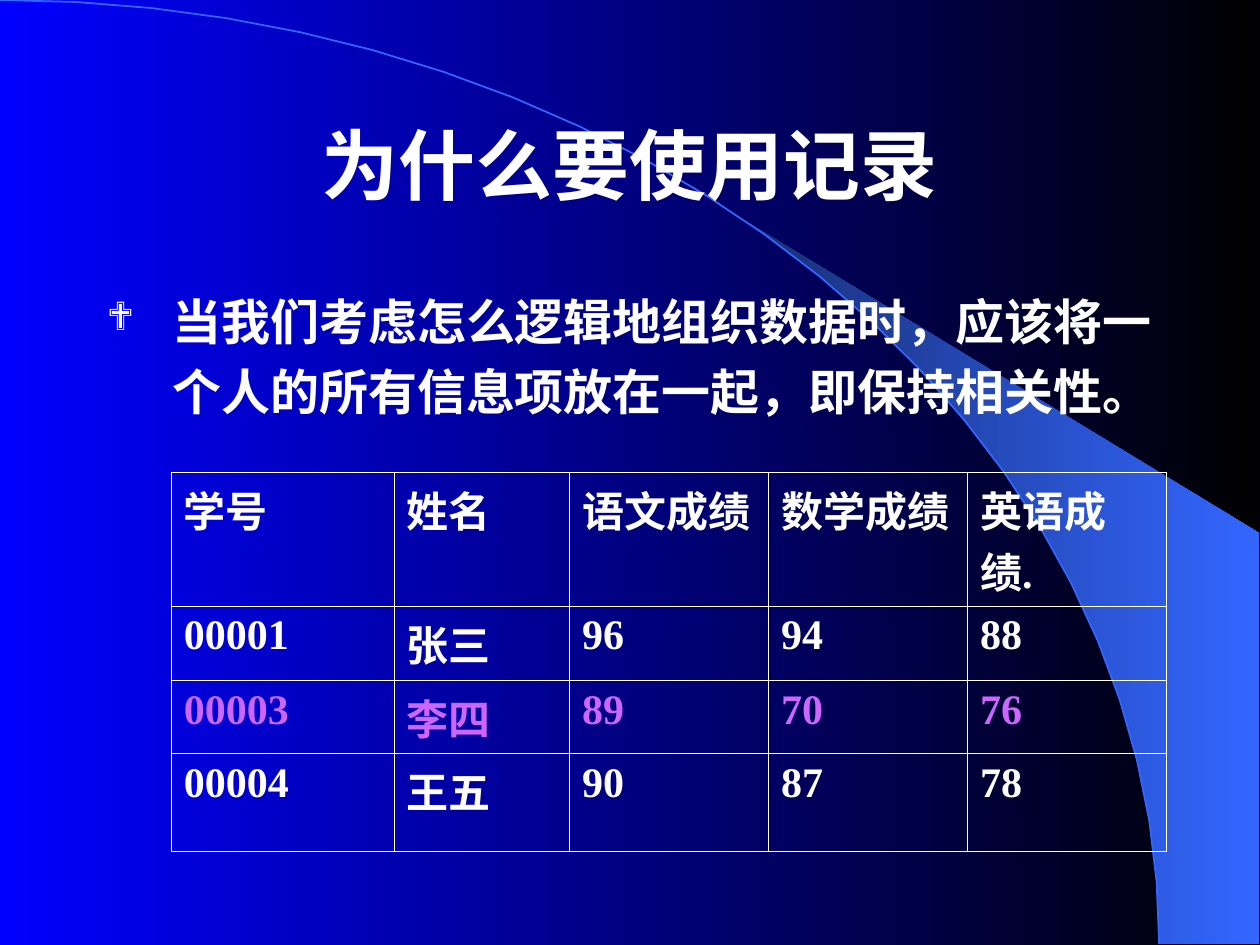
import math
from dataclasses import dataclass

from pptx import Presentation, util as u
from pptx.dml.color import RGBColor
from pptx.enum import text
from pptx.oxml.ns import qn
from lxml import etree


@dataclass(frozen=True)
class Theme:
    """Colours, fonts and type sizes."""
    white: str = "FFFFFF"
    highlight: str = "CC66FF"
    arc: str = "3366FF"
    background: tuple = ("0000FF", "000000")
    beam: tuple = ("182F76", "3366FF")
    title_font: str = "Arial"
    body_font: str = "Noto Sans CJK SC"
    table_font: str = "Times New Roman"
    bullet_font: str = "Wingdings"
    title_size: int = 44
    body_size: int = 28
    table_size: int = 24


THEME = Theme()
WIDTH, HEIGHT = 10, 7.5
ARC_WIDTH, ARC_HEIGHT = 0.92 * WIDTH, 7.49
COLUMNS = (1.77, 1.39, 1.58, 1.58, 1.58)
ROWS = (1.06, 0.59, 0.58, 0.78)
RECORDS = (
    ("学号", "姓名", "语文成绩", "数学成绩", "英语成绩."),
    ("00001", "张三", "96", "94", "88"),
    ("00003", "李四", "89", "70", "76"),
    ("00004", "王五", "90", "87", "78"),
)
HIGHLIGHTED_ROW = 2


def set_gradient(fill, colours):
    """Fill from left to right between two colours."""
    fill.gradient()
    fill.gradient_angle = 0
    for stop, colour in zip(fill.gradient_stops, colours):
        stop.color.rgb = RGBColor.from_string(colour)


def arc_points(start, steps):
    """Return points on the quarter ellipse from an angle to its right end."""
    angles = (start + (math.pi / 2 - start) * step / steps for step in range(steps + 1))
    return [(ARC_WIDTH * math.sin(a), ARC_HEIGHT * (1 - math.cos(a))) for a in angles]


def add_outline(slide, points, close):
    """Draw a freeform through points given in inches."""
    points = [(u.Inches(x), u.Inches(y)) for x, y in points]
    builder = slide.shapes.build_freeform(*points[0])
    builder.add_line_segments(points[1:], close=close)
    shape = builder.convert_to_shape()
    shape.shadow.inherit = False
    return shape


def add_backdrop(slide):
    """Draw the gradient background, the beam and the arc."""
    set_gradient(slide.background.fill, THEME.background)
    corners = [(WIDTH - 0.01, ARC_HEIGHT), (WIDTH - 0.01, 4.23)]
    beam = add_outline(slide, arc_points(math.asin(0.64), 14) + corners, True)
    set_gradient(beam.fill, THEME.beam)
    beam.line.fill.background()
    arc = add_outline(slide, arc_points(0, 24), False)
    arc.fill.background()
    arc.line.color.rgb = RGBColor.from_string(THEME.arc)
    arc.line.width = u.Pt(1)


def add_run(paragraph, words, font, size, colour):
    """Add one bold run with Latin and East Asian fonts."""
    run = paragraph.add_run()
    run.text = words
    run.font.name = font
    run.font.size = u.Pt(size)
    run.font.bold = True
    run.font.color.rgb = RGBColor.from_string(colour)
    east_asian = etree.SubElement(run.font._element, qn("a:ea"))
    east_asian.set("typeface", THEME.body_font)


def add_text(slide, box, anchor):
    """Add a wrapping text box and return its first paragraph."""
    shape = slide.shapes.add_textbox(*(u.Inches(length) for length in box))
    frame = shape.text_frame
    frame.word_wrap = True
    frame.vertical_anchor = anchor
    return frame.paragraphs[0]


def set_bullet(paragraph, symbol, indent):
    """Give a paragraph a hanging bullet."""
    properties = paragraph._p.get_or_add_pPr()
    properties.set("marL", str(u.Inches(indent)))
    properties.set("indent", str(-u.Inches(indent)))
    colour = etree.SubElement(properties, qn("a:buClr"))
    etree.SubElement(colour, qn("a:srgbClr")).set("val", THEME.white)
    etree.SubElement(properties, qn("a:buSzPct")).set("val", "80000")
    etree.SubElement(properties, qn("a:buFont")).set("typeface", THEME.bullet_font)
    etree.SubElement(properties, qn("a:buChar")).set("char", symbol)


def set_borders(cell, colour, points):
    """Draw all four borders of a cell."""
    properties = cell._tc.get_or_add_tcPr()
    for index, side in enumerate(("lnL", "lnR", "lnT", "lnB")):
        line = etree.Element(qn("a:" + side), w=str(u.Pt(points)))
        fill = etree.SubElement(line, qn("a:solidFill"))
        etree.SubElement(fill, qn("a:srgbClr")).set("val", colour)
        properties.insert(index, line)


def add_records(slide, left, top):
    """Add the table of student records."""
    frame = slide.shapes.add_table(
        len(ROWS), len(COLUMNS), u.Inches(left), u.Inches(top),
        u.Inches(sum(COLUMNS)), u.Inches(sum(ROWS)))
    table = frame.table
    table.first_row = table.horz_banding = False
    for column, width in zip(table.columns, COLUMNS):
        column.width = u.Inches(width)
    for index, (row, height, record) in enumerate(zip(table.rows, ROWS, RECORDS)):
        row.height = u.Inches(height)
        colour = THEME.highlight if index == HIGHLIGHTED_ROW else THEME.white
        for cell, words in zip(row.cells, record):
            cell.fill.background()
            set_borders(cell, THEME.white, 0.45)
            paragraph = cell.text_frame.paragraphs[0]
            paragraph._p.get_or_add_pPr().set("hangingPunct", "0")
            add_run(paragraph, words, THEME.table_font, THEME.table_size, colour)


def main():
    """Build and save the slide."""
    presentation = Presentation()
    presentation.slide_width, presentation.slide_height = u.Inches(WIDTH), u.Inches(HEIGHT)
    slide = presentation.slides.add_slide(presentation.slide_layouts[6])
    add_backdrop(slide)

    title = add_text(slide, (0.75, 0.67, 8.5, 1.25), text.MSO_ANCHOR.MIDDLE)
    title.alignment = text.PP_ALIGN.CENTER
    add_run(title, "为什么要使用记录", THEME.title_font, THEME.title_size, THEME.white)

    body = add_text(slide, (0.75, 2.17, 8.78, 1.54), text.MSO_ANCHOR.TOP)
    set_bullet(body, "❖", 0.52)
    body.line_spacing = 1.2
    add_run(body, "当我们考虑怎么逻辑地组织数据时，应该将一个人的所有信息项放在一起，即保持相关性。",
            THEME.body_font, THEME.body_size, THEME.white)

    add_records(slide, 1.36, 3.75)
    presentation.save("out.pptx")


if __name__ == "__main__":
    main()
